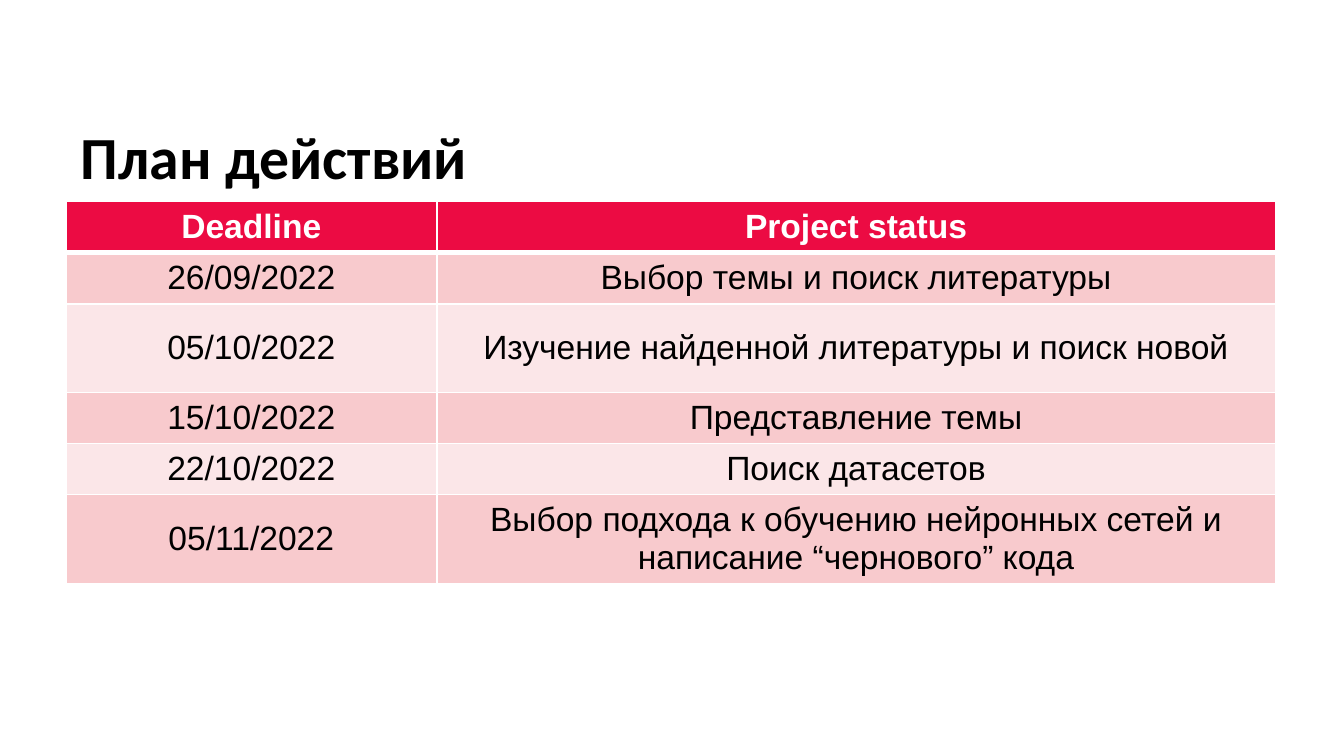
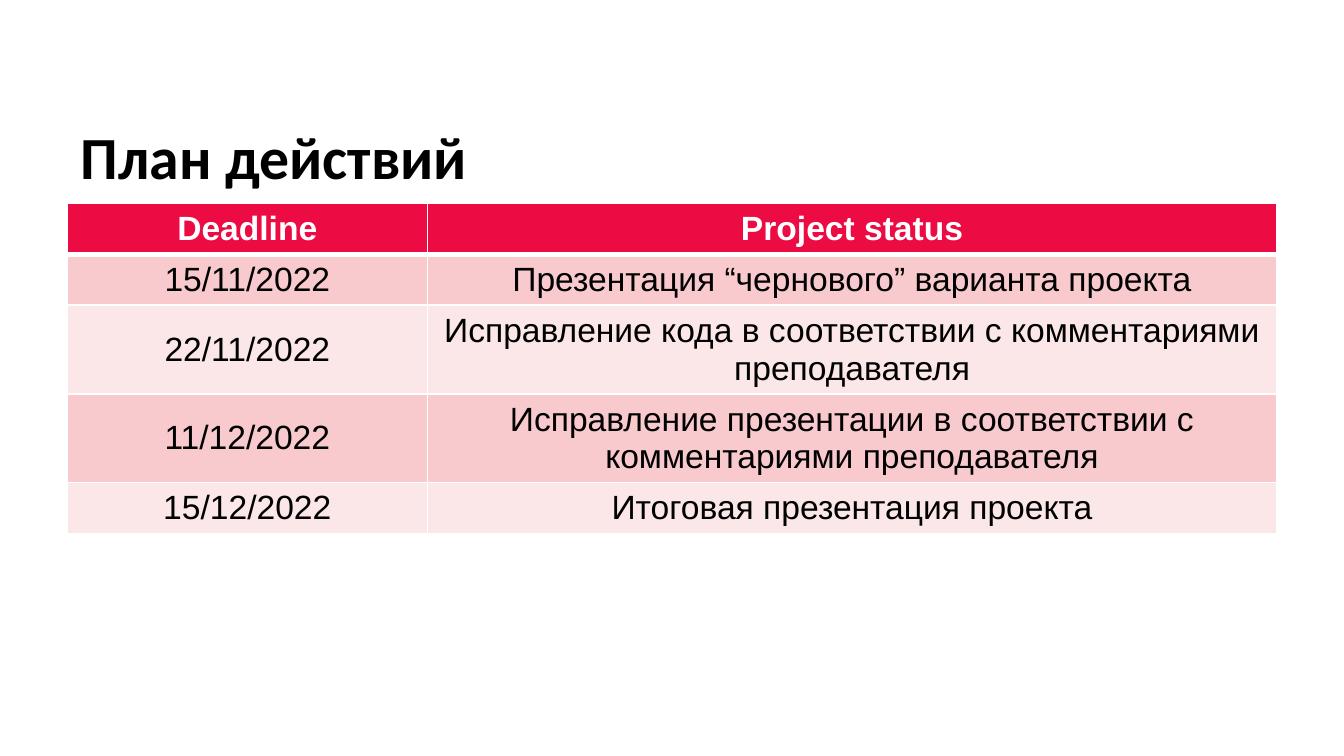
from dataclasses import dataclass

from lxml import etree
from pptx import Presentation
from pptx.dml.color import RGBColor
from pptx.enum.text import MSO_ANCHOR, MSO_AUTO_SIZE, PP_ALIGN
from pptx.oxml.ns import qn
from pptx.util import Pt

LEFT, CENTER = PP_ALIGN.LEFT, PP_ALIGN.CENTER
MIDDLE = MSO_ANCHOR.MIDDLE
NO_AUTOFIT = MSO_AUTO_SIZE.NONE
TITLE_ONLY = 5

# Content
TITLE = "План действий"
HEADINGS = ("Deadline", "Project status")
PLANS = [
    {
        "origin": (35.3, 108),
        "deadline_width": 198.7,
        "tall_rows": (2,),
        "steps": [
            ("26/09/2022", "Выбор темы и поиск литературы"),
            ("05/10/2022", "Изучение найденной литературы и поиск новой"),
            ("15/10/2022", "Представление темы"),
            ("22/10/2022", "Поиск датасетов"),
            ("05/11/2022", "Выбор подхода к обучению нейронных сетей и написание “чернового” кода"),
        ],
    },
    {
        "origin": (36, 108.7),
        "deadline_width": 193,
        "tall_rows": (),
        "steps": [
            ("15/11/2022", "Презентация “чернового” варианта проекта"),
            ("22/11/2022", "Исправление кода в соответствии с комментариями преподавателя"),
            ("11/12/2022", "Исправление презентации в соответствии с комментариями преподавателя"),
            ("15/12/2022", "Итоговая презентация проекта"),
        ],
    },
]


@dataclass(frozen=True)
class Theme:
    header: str = "EC0B43"
    bands: tuple = ("F8CACD", "FBE6E8")
    white: str = "FFFFFF"
    black: str = "000000"
    title_font: str = "Calibri"
    table_font: str = "Arial"
    title_size: int = 32
    table_size: int = 18
    thin: int = 1
    thick: int = 3


THEME = Theme()

# Layout, in points
SLIDE_SIZE = (720, 405)
TITLE_BOX = (36, 59, 494, 49)
TABLE_WIDTH = 648
ROW_HEIGHT, TALL_ROW_HEIGHT = 27.3, 47.5


def style_paragraph(paragraph, font_name, size, color, bold, align):
    paragraph.alignment = align
    font = paragraph.font
    font.name, font.size, font.bold = font_name, Pt(size), bold
    font.color.rgb = RGBColor.from_string(color)


def add_title(slide):
    title = slide.shapes.title
    title.left, title.top, title.width, title.height = map(Pt, TITLE_BOX)
    frame = title.text_frame
    frame.text = TITLE
    frame.auto_size = NO_AUTOFIT
    frame.vertical_anchor = MIDDLE
    style_paragraph(frame.paragraphs[0], THEME.title_font, THEME.title_size,
                    THEME.black, True, LEFT)


def set_borders(cell, top, bottom):
    properties = cell._tc.get_or_add_tcPr()
    sides = {"lnL": THEME.thin, "lnR": THEME.thin, "lnT": top, "lnB": bottom}
    # Border lines must come before the fill
    for index, (side, width) in enumerate(sides.items()):
        line = etree.Element(qn(f"a:{side}"), w=str(Pt(width)))
        fill = etree.SubElement(line, qn("a:solidFill"))
        etree.SubElement(fill, qn("a:srgbClr"), val=THEME.white)
        properties.insert(index, line)


def style_cell(cell, text, row):
    is_header = row == 0
    background = THEME.header if is_header else THEME.bands[(row - 1) % 2]
    cell.text = text
    cell.vertical_anchor = MIDDLE
    cell.fill.solid()
    cell.fill.fore_color.rgb = RGBColor.from_string(background)
    style_paragraph(cell.text_frame.paragraphs[0], THEME.table_font, THEME.table_size,
                    THEME.white if is_header else THEME.black, is_header, CENTER)
    set_borders(cell,
                top=THEME.thick if row == 1 else THEME.thin,
                bottom=THEME.thick if is_header else THEME.thin)


def add_plan(slide, plan):
    rows = [HEADINGS, *plan["steps"]]
    heights = [TALL_ROW_HEIGHT if row in plan["tall_rows"] else ROW_HEIGHT
               for row in range(len(rows))]
    left, top = plan["origin"]
    table = slide.shapes.add_table(len(rows), len(HEADINGS), Pt(left), Pt(top),
                                   Pt(TABLE_WIDTH), Pt(sum(heights))).table
    deadline_width = plan["deadline_width"]
    table.columns[0].width = Pt(deadline_width)
    table.columns[1].width = Pt(TABLE_WIDTH - deadline_width)
    for row, (texts, height) in enumerate(zip(rows, heights)):
        table.rows[row].height = Pt(height)
        for column, text in enumerate(texts):
            style_cell(table.cell(row, column), text, row)


def main():
    deck = Presentation()
    deck.slide_width, deck.slide_height = map(Pt, SLIDE_SIZE)
    for plan in PLANS:
        slide = deck.slides.add_slide(deck.slide_layouts[TITLE_ONLY])
        add_title(slide)
        add_plan(slide, plan)
    deck.save("out.pptx")


if __name__ == "__main__":
    main()
